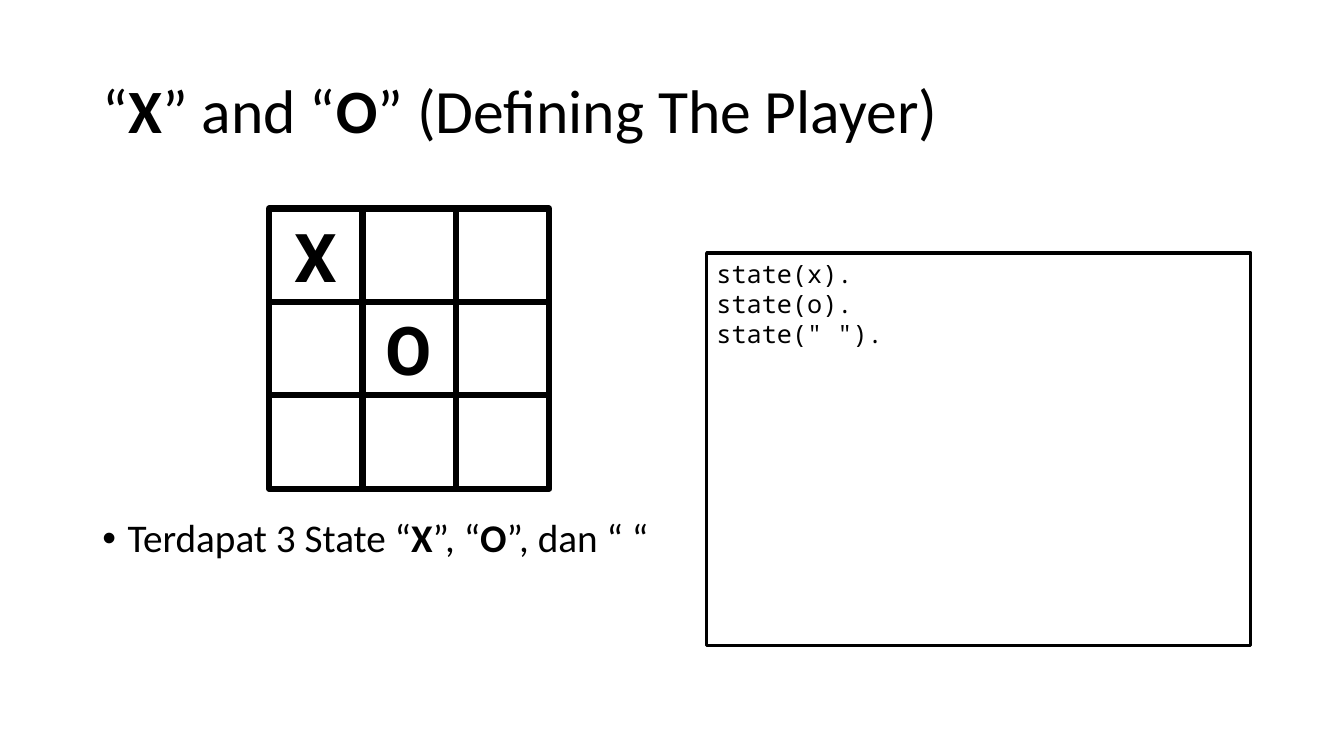
from lxml import etree
from pptx import Presentation
from pptx.dml.color import RGBColor
from pptx.enum import shapes, text
from pptx.oxml.ns import qn
from pptx.util import Pt

# Content: each paragraph is a list of (text, bold) runs
TITLE = [[("“", False), ("X", True), ("” and “", False), ("O", True),
          ("” (Defining The Player)", False)]]
STATES = [[("Terdapat 3 State “", False), ("X", True), ("”, “", False),
           ("O", True), ("”, dan “ “", False)]]
BOARD = [["X", "", ""],
         ["", "O", ""],
         ["", "", ""]]
CODE = ["state(x).", "state(o).", 'state(" ").']

THEME = {
    "ink": RGBColor(0, 0, 0),
    "title": ("Calibri", 44),
    "body": ("Calibri", 28),
    "mark": ("Roboto", 48),
    "code": ("Noto Sans Mono", 18),
}

# Layout in points: left, top, width, height
TITLE_BOX = (66, 28.8, 828, 104.4)
STATES_BOX = (66, 367.2, 414, 121.7)
CODE_BOX = (504.7, 180.7, 388.8, 280.1)
BOARD_LEFT, BOARD_TOP, CELL = 192.2, 149, 66.7

prs = Presentation()
prs.slide_width, prs.slide_height = Pt(960), Pt(540)
slide = prs.slides.add_slide(prs.slide_layouts[6])


def write(sp, paragraphs, style, anchor=text.MSO_ANCHOR.TOP,
          align=text.PP_ALIGN.LEFT, spacing=1.0):
    tf = sp.text_frame
    tf.word_wrap = True
    tf.vertical_anchor = anchor
    font, size = THEME[style]
    for i, runs in enumerate(paragraphs):
        p = tf.add_paragraph() if i else tf.paragraphs[0]
        p.alignment, p.line_spacing = align, spacing
        for words, bold in runs:
            r = p.add_run()
            r.text = words
            r.font.name, r.font.size, r.font.bold = font, Pt(size), bold
            r.font.color.rgb = THEME["ink"]
    return tf


def add_text(box, *args, **kwargs):
    return write(slide.shapes.add_textbox(*map(Pt, box)), *args, **kwargs)


def add_frame(box, weight):
    sp = slide.shapes.add_shape(shapes.MSO_SHAPE.RECTANGLE, *map(Pt, box))
    sp.shadow.inherit = False
    sp.fill.background()
    sp.line.color.rgb = THEME["ink"]
    sp.line.width = Pt(weight)
    return sp


# Title
add_text(TITLE_BOX, TITLE, "title", text.MSO_ANCHOR.MIDDLE, spacing=0.9)

# Bulleted list of states
tf = add_text(STATES_BOX, STATES, "body", spacing=0.9)
for p in tf.paragraphs:
    p.space_before = Pt(10)
    pPr = p._p.get_or_add_pPr()
    pPr.set("marL", str(Pt(18)))
    pPr.set("indent", str(-Pt(18)))
    etree.SubElement(pPr, qn("a:buFont")).set("typeface", "Arial")
    etree.SubElement(pPr, qn("a:buChar")).set("char", "•")

# Game board
for row, marks in enumerate(BOARD):
    for col, mark in enumerate(marks):
        sp = add_frame((BOARD_LEFT + col * CELL, BOARD_TOP + row * CELL,
                        CELL, CELL), 4.5)
        if mark:
            write(sp, [[(mark, True)]], "mark", text.MSO_ANCHOR.MIDDLE,
                  text.PP_ALIGN.CENTER)

# Code panel
write(add_frame(CODE_BOX, 2.25), [[(line, False)] for line in CODE], "code")

prs.save("out.pptx")
